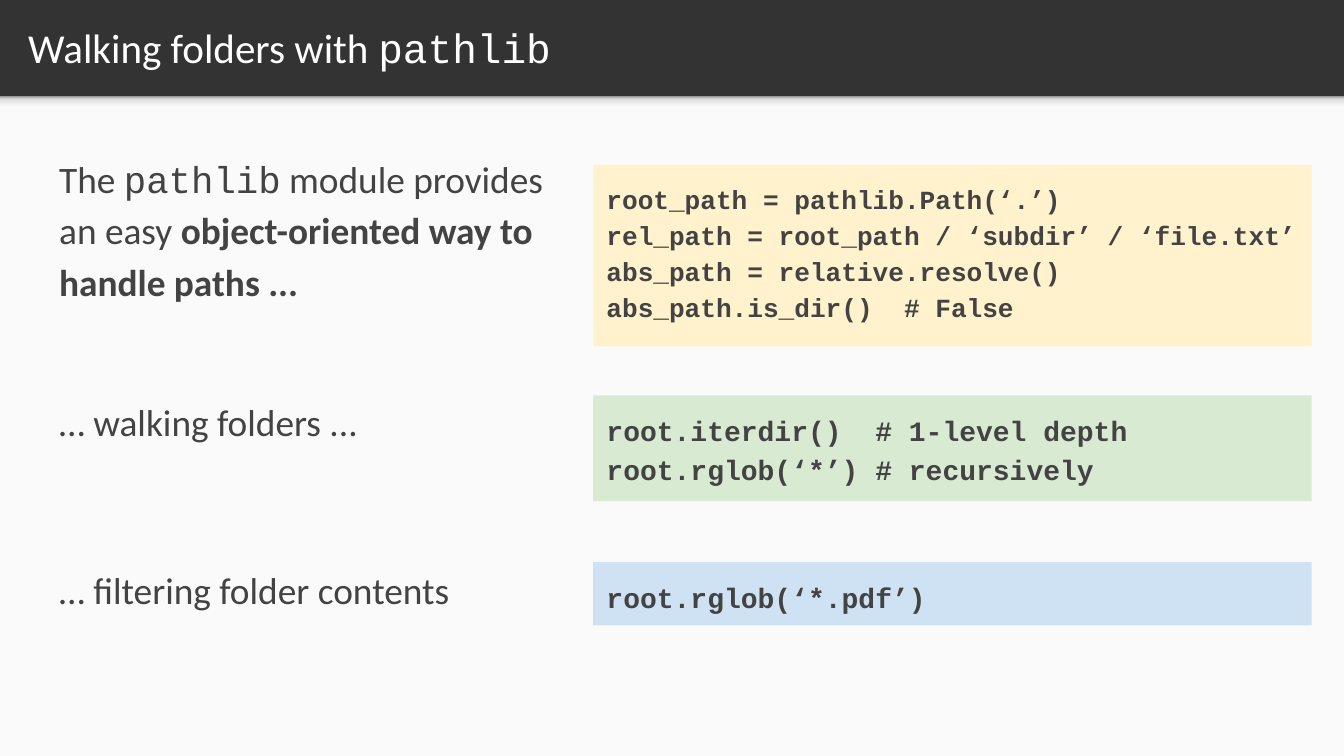
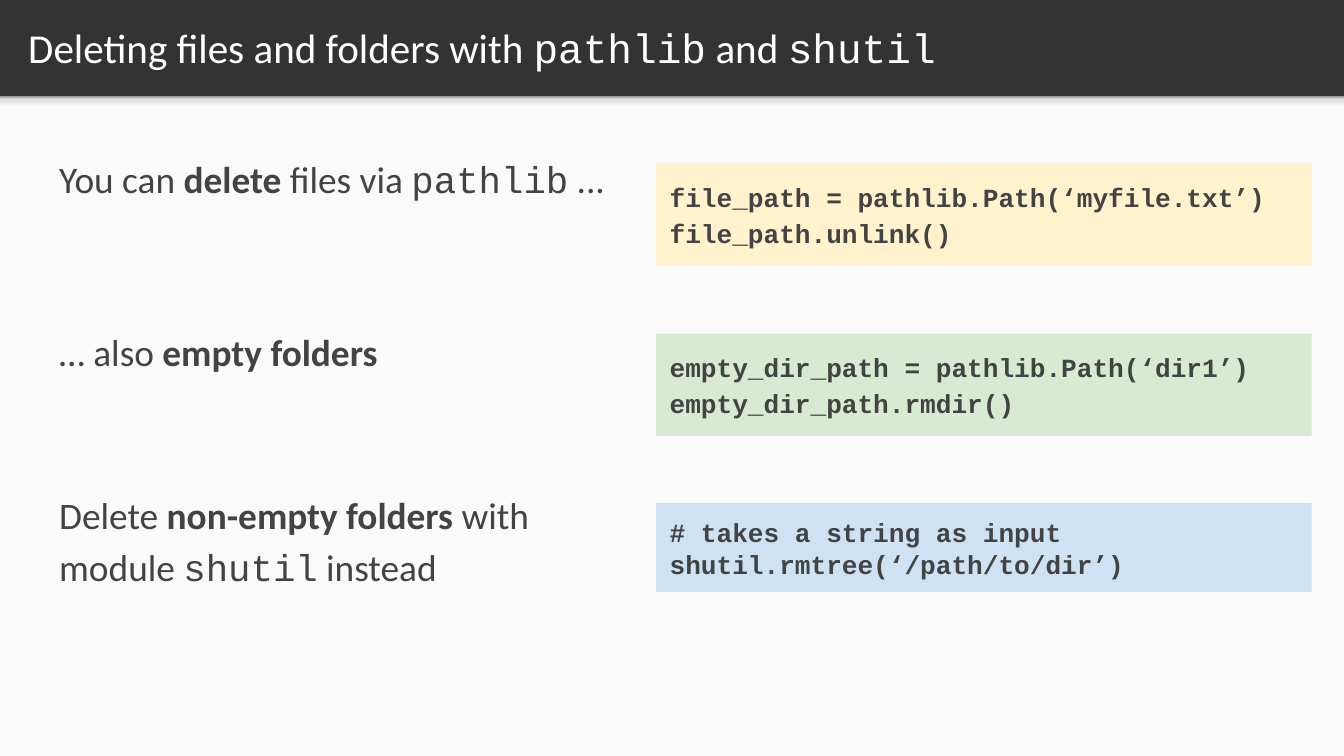
"""Build two slides on handling paths, folders and files with pathlib and shutil."""
from copy import deepcopy

from pptx import Presentation
from pptx.dml.color import RGBColor
from pptx.enum import shapes, text
from pptx.oxml.ns import qn
from pptx.util import Inches, Pt

COLORS = {
    "band": "333333", "panel": "FAFAFA", "title": "FFFFFF", "body": "434343",
    "yellow": "FFF2CC", "green": "D9EAD3", "blue": "CFE2F3",
}
BAND_SHADOW = [(0, "F9F9F9"), (0.36, "F9F9F9"), (0.8, "DEDEDE"), (1, "999999")]
SANS, MONO = "Calibri", "Courier New"
WIDTH, HEIGHT = 19.99, 11.24
BAND_HEIGHT = 1.44
BODY_LEFT, CODE_RIGHT = 0.68, 19.51
INSET = Inches(0.2)


def add_rectangle(slide, left, top, width, height):
    rectangle = slide.shapes.add_shape(
        shapes.MSO_SHAPE.RECTANGLE,
        Inches(left), Inches(top), Inches(width), Inches(height))
    rectangle.shadow.inherit = False
    rectangle.line.fill.background()
    return rectangle


def set_text(shape, lines, size, color, spacing=1.0, anchor=text.MSO_ANCHOR.TOP):
    frame = shape.text_frame
    frame.word_wrap = True
    frame.vertical_anchor = anchor
    frame.margin_left = frame.margin_right = INSET
    frame.margin_top = frame.margin_bottom = INSET
    for index, pieces in enumerate(lines):
        paragraph = frame.add_paragraph() if index else frame.paragraphs[0]
        paragraph.alignment = text.PP_ALIGN.LEFT
        paragraph.line_spacing = spacing
        for words, style in pieces:
            run = paragraph.add_run()
            run.text = words
            run.font.size = Pt(size)
            run.font.name = MONO if "mono" in style else SANS
            run.font.bold = "bold" in style
            run.font.color.rgb = RGBColor.from_string(COLORS[color])


pages = [
    {
        "title": [("Walking folders with ", ""), ("pathlib", "mono")],
        "body_width": 8.02,
        "code_left": 8.82,
        "rows": [
            {"body": [("The ", ""), ("pathlib", "mono"), (" module provides an easy ", ""),
                      ("object-oriented way to handle paths ...", "bold")],
             "body_box": (2.02, 2.82), "code_box": (2.45, 2.7), "size": 28, "spacing": 1.15,
             "code": ["root_path = pathlib.Path(‘.’)",
                      "rel_path = root_path / ‘subdir’ / ‘file.txt’",
                      "abs_path = relative.resolve()",
                      "abs_path.is_dir()  # False"]},
            {"body": [("… walking folders ...", "")],
             "body_box": (5.64, 1.46), "code_box": (5.88, 1.57), "size": 30, "spacing": 1.15,
             "code": ["root.iterdir()  # 1-level depth",
                      "root.rglob(‘*’) # recursively"]},
            {"body": [("… filtering folder contents", "")],
             "body_box": (8.14, 1.46), "code_box": (8.36, 0.94), "size": 30, "spacing": 1.15,
             "code": ["root.rglob(‘*.pdf’)"]},
        ],
    },
    {
        "title": [("Deleting files and folders with ", ""), ("pathlib", "mono"),
                  (" and ", ""), ("shutil", "mono")],
        "body_width": 8.59,
        "code_left": 9.76,
        "rows": [
            {"body": [("You can ", ""), ("delete", "bold"), (" files via ", ""),
                      ("pathlib", "mono"), (" ...", "")],
             "body_box": (2.02, 1.52), "code_box": (2.43, 1.52), "size": 28, "spacing": 1.15,
             "code": ["file_path = pathlib.Path(‘myfile.txt’)",
                      "file_path.unlink()"]},
            {"body": [("… also ", ""), ("empty folders", "bold")],
             "body_box": (4.6, 1.52), "code_box": (4.96, 1.52), "size": 28, "spacing": 1.15,
             "code": ["empty_dir_path = pathlib.Path(‘dir1’)",
                      "empty_dir_path.rmdir()"]},
            {"body": [("Delete ", ""), ("non-empty folders", "bold"), (" with module ", ""),
                      ("shutil", "mono"), (" instead", "")],
             "body_box": (7.02, 2.12), "code_box": (7.48, 1.32), "size": 28, "spacing": 1.0,
             "code": ["# takes a string as input",
                      "shutil.rmtree(‘/path/to/dir’)"]},
        ],
    },
]

deck = Presentation()
deck.slide_width, deck.slide_height = Inches(WIDTH), Inches(HEIGHT)

for page in pages:
    slide = deck.slides.add_slide(deck.slide_layouts[6])
    slide.background.fill.solid()
    slide.background.fill.fore_color.rgb = RGBColor.from_string(COLORS["band"])

    panel = add_rectangle(slide, 0, BAND_HEIGHT, WIDTH, HEIGHT - BAND_HEIGHT)
    panel.fill.solid()
    panel.fill.fore_color.rgb = RGBColor.from_string(COLORS["panel"])

    band_shadow = add_rectangle(slide, 0, BAND_HEIGHT - 0.01, WIDTH, 0.24)
    band_shadow.fill.gradient()
    band_shadow.fill.gradient_angle = 90
    stop_list = next(band_shadow.element.iter(qn("a:gsLst")))
    for extra in range(len(BAND_SHADOW) - len(stop_list)):
        stop_list.append(deepcopy(stop_list[0]))
    for stop, (position, shade) in zip(band_shadow.fill.gradient_stops, BAND_SHADOW):
        stop.position = position
        stop.color.rgb = RGBColor.from_string(shade)

    title = slide.shapes.add_textbox(Inches(0.22), Inches(0.04), Inches(19.29), Inches(1.32))
    set_text(title, [page["title"]], 44, "title", anchor=text.MSO_ANCHOR.MIDDLE)

    for row, tint in zip(page["rows"], ("yellow", "green", "blue")):
        top, height = row["body_box"]
        body = slide.shapes.add_textbox(
            Inches(BODY_LEFT), Inches(top), Inches(page["body_width"]), Inches(height))
        set_text(body, [row["body"]], 40, "body", 1.15)

        top, height = row["code_box"]
        code = add_rectangle(
            slide, page["code_left"], top, CODE_RIGHT - page["code_left"], height)
        code.fill.solid()
        code.fill.fore_color.rgb = RGBColor.from_string(COLORS[tint])
        code_lines = [[(line, "mono bold")] for line in row["code"]]
        set_text(code, code_lines, row["size"], "body", row["spacing"])

deck.save("out.pptx")
